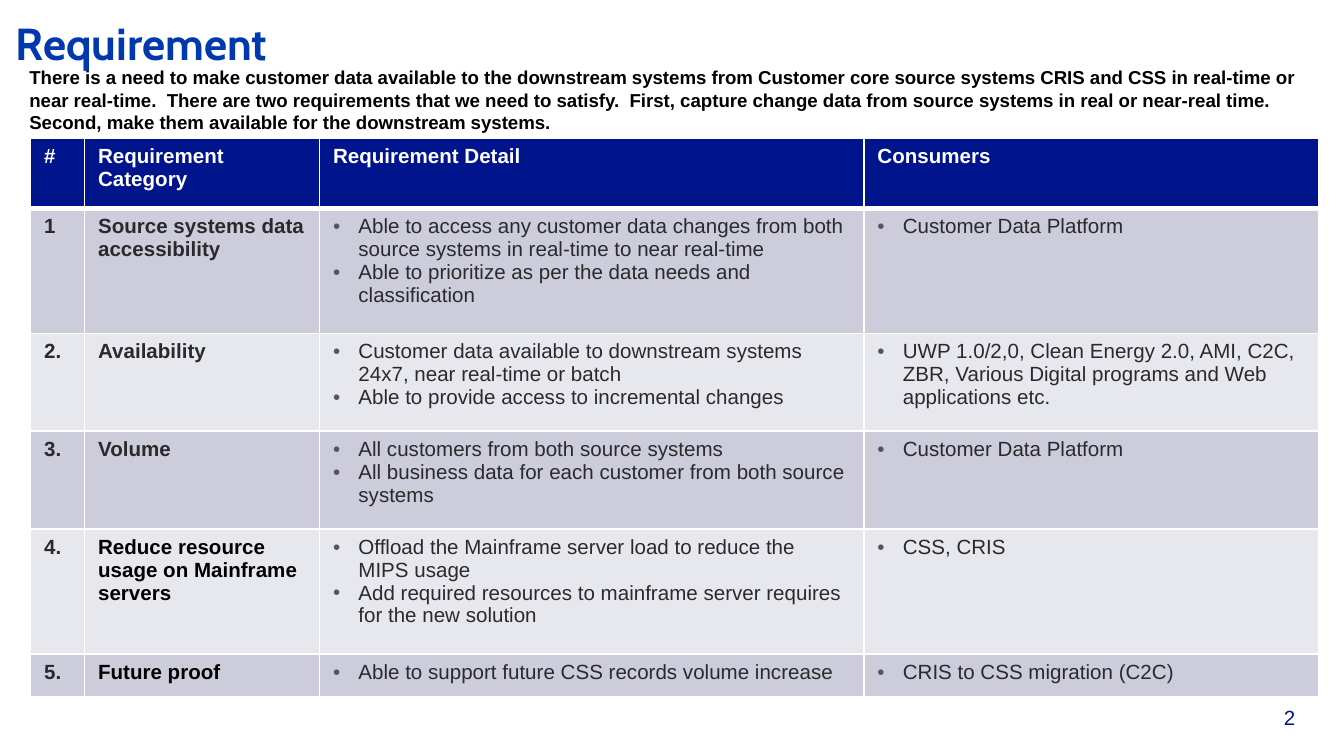
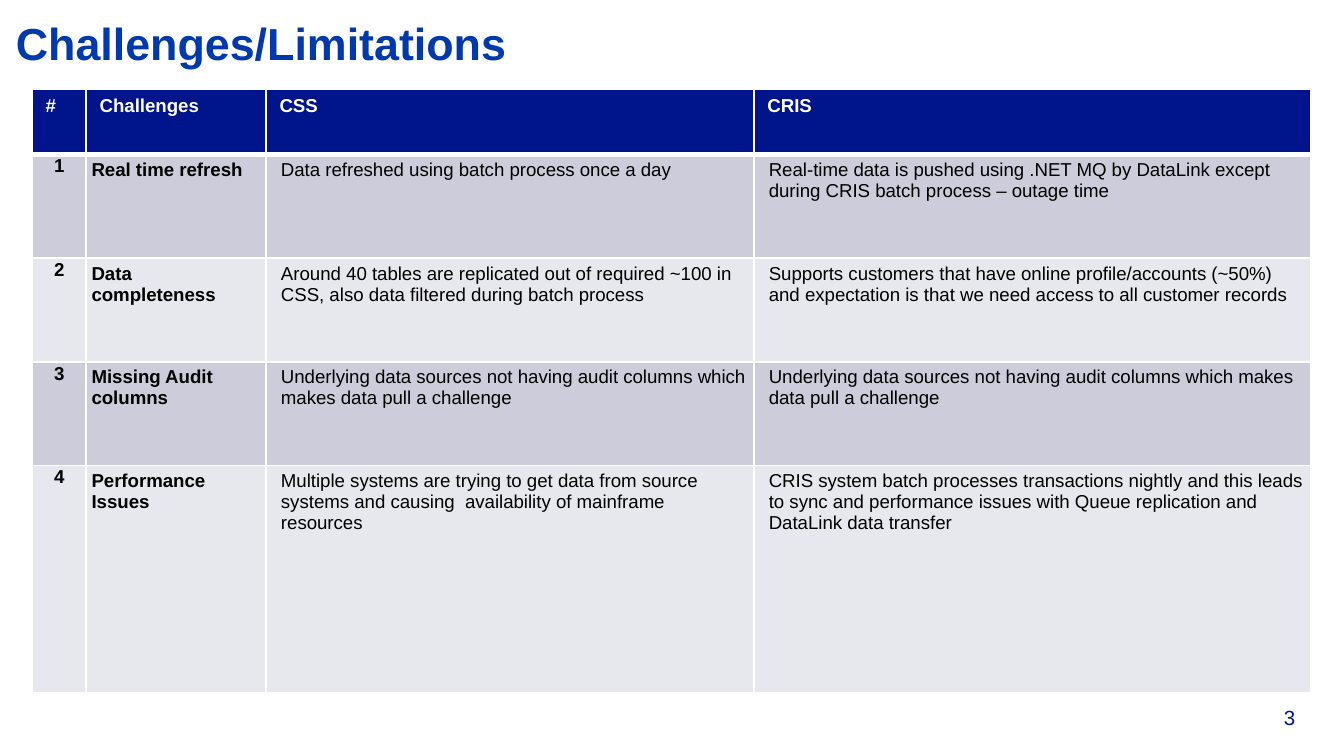
from dataclasses import dataclass
from itertools import product

from lxml import etree
from pptx import Presentation
from pptx.dml.color import RGBColor
from pptx.enum.text import MSO_ANCHOR, MSO_AUTO_SIZE, PP_ALIGN
from pptx.oxml.ns import qn
from pptx.util import Cm, Pt

LEFT, CENTER, RIGHT = PP_ALIGN.LEFT, PP_ALIGN.CENTER, PP_ALIGN.RIGHT
TOP, BOTTOM = MSO_ANCHOR.TOP, MSO_ANCHOR.BOTTOM
FIXED = MSO_AUTO_SIZE.NONE
BODY_PAGE, TITLE_PAGE = 1, 5  # layouts of the default template


@dataclass(frozen=True)
class Theme:
    font: str = "Arial"
    navy: str = "00148C"
    blue: str = "0038AE"
    black: str = "000000"
    ink: str = "2A2A2D"
    dot: str = "55555A"
    white: str = "FFFFFF"
    bands: tuple = ("CCCCDA", "E7E7EE")
    head: int = 24
    large: int = 11
    small: int = 10
    after: int = 6


THEME = Theme()


def write(frame, text, *, size, color, font=THEME.font, bold=False,
          align=LEFT, after=0, indent=None, hang=0, level=0, bullet=None):
    """Fill a text frame with one paragraph for each string in text."""
    frame.word_wrap = True
    lines = [text] if isinstance(text, str) else text
    for i, line in enumerate(lines):
        para = frame.paragraphs[0] if i == 0 else frame.add_paragraph()
        props = para._p.get_or_add_pPr()
        if indent is not None:
            props.set("marL", str(Cm(indent)))
            props.set("indent", str(Cm(-hang)))
        if bullet:
            tint = etree.SubElement(props, qn("a:buClr"))
            etree.SubElement(tint, qn("a:srgbClr"), val=bullet)
            etree.SubElement(props, qn("a:buFont"), typeface=font)
            etree.SubElement(props, qn("a:buChar"), char="•")
        else:
            etree.SubElement(props, qn("a:buNone"))
        para.alignment, para.level = align, level
        para.space_before, para.space_after = Pt(0), Pt(after)
        run = para.add_run()
        run.text = line
        run.font.name, run.font.size, run.font.bold = font, Pt(size), bold
        run.font.color.rgb = RGBColor.from_string(color)


def pad(frame, left, top):
    frame.margin_left = frame.margin_right = Cm(left)
    frame.margin_top = frame.margin_bottom = Cm(top)


def edge(cell, color, **widths):
    """Draw cell borders; widths are points for L, R, T and B."""
    props = cell._tc.get_or_add_tcPr()
    for i, side in enumerate("LRTB"):
        line = etree.Element(qn(f"a:ln{side}"), w=str(Pt(widths.get(side, 1))))
        fill = etree.SubElement(line, qn("a:solidFill"))
        etree.SubElement(fill, qn("a:srgbClr"), val=color)
        props.insert(i, line)


class Deck:
    def __init__(self, theme):
        self.theme = theme
        self.file = Presentation()
        self.file.slide_width, self.file.slide_height = Cm(25.4), Cm(14.29)
        self.slide = None

    def page(self, layout, title, font=None):
        """Start a slide with its title and page number."""
        look = self.theme
        self.slide = self.file.slides.add_slide(self.file.slide_layouts[layout])
        frame = self.place(self.slide.shapes.title, (0.3, 0.3, 25.07, 1.04))
        pad(frame, 0, 0)
        write(frame, title, size=look.head, color=look.blue, bold=True,
              font=font or look.font)
        self.number(len(self.file.slides) + 1)

    def place(self, shape, box):
        shape.left, shape.top, shape.width, shape.height = map(Cm, box)
        frame = shape.text_frame
        frame.auto_size, frame.vertical_anchor = FIXED, TOP
        return frame

    def number(self, count):
        box = self.slide.shapes.add_textbox(*map(Cm, (23.01, 13.31, 1.47, 0.48)))
        frame = box.text_frame
        frame.vertical_anchor = BOTTOM
        pad(frame, 0, 0)
        write(frame, str(count), size=self.theme.large, color=self.theme.navy,
              align=RIGHT)

    def intro(self, text, box):
        frame = self.place(self.slide.placeholders[1], box)
        write(frame, text, size=self.theme.small, color=self.theme.black,
              bold=True, after=self.theme.after, indent=0)

    def table(self, spot, cols, rows, data, size, style):
        """Add a banded table; style(row, col) gives padding and text format."""
        look = self.theme
        shape = self.slide.shapes.add_table(
            len(rows), len(cols), *map(Cm, (*spot, sum(cols), sum(rows))))
        grid = shape.table
        for part, wide in zip(grid.columns, cols):
            part.width = Cm(wide)
        for part, high in zip(grid.rows, rows):
            part.height = Cm(high)
        for r, c in product(range(len(rows)), range(len(cols))):
            cell = grid.cell(r, c)
            fill = look.navy if r == 0 else look.bands[(r - 1) % 2]
            cell.fill.solid()
            cell.fill.fore_color.rgb = RGBColor.from_string(fill)
            edge(cell, look.white, T=3 if r == 1 else 1, B=3 if r == 0 else 1)
            if r == 0:
                form = dict(color=look.white, bold=True, after=look.after)
            else:
                inset, form = style(r, c)
                if inset is not None:
                    pad(cell, inset, inset)
            write(cell.text_frame, data[r][c], size=size, **form)


def need(row, col):
    """Format of the requirement table."""
    if col > 1:
        return None, dict(color=THEME.ink, indent=0.48, hang=0.48,
                          bullet=THEME.dot)
    dark = col == 1 and row > 3
    return None, dict(color=THEME.black if dark else THEME.ink, bold=True,
                      after=THEME.after)


def limit(row, col):
    """Format of the challenge table."""
    if col > 1:
        return 0.1, dict(color=THEME.black, indent=0.18, level=1)
    form = dict(color=THEME.black, bold=True, after=THEME.after)
    return (0.03, dict(form, align=CENTER)) if col == 0 else (0.1, form)


NEEDS = [
    ("#", "Requirement Category", "Requirement Detail", "Consumers"),
    ("1", "Source systems data accessibility",
     ["Able to access any customer data changes from both source systems in real-time to near real-time",
      "Able to prioritize as per the data needs and classification"],
     "Customer Data Platform"),
    ("2.", "Availability",
     ["Customer data available to downstream systems 24x7, near real-time or batch",
      "Able to provide access to incremental changes"],
     "UWP 1.0/2,0, Clean Energy 2.0, AMI, C2C, ZBR, Various Digital programs and Web applications etc."),
    ("3.", "Volume",
     ["All customers from both source systems",
      "All business data for each customer from both source systems"],
     "Customer Data Platform"),
    ("4.", "Reduce resource usage on Mainframe servers",
     ["Offload the Mainframe server load to reduce the MIPS usage",
      "Add required resources to mainframe server requires for the new solution"],
     "CSS, CRIS"),
    ("5.", "Future proof", "Able to support future CSS records volume increase",
     "CRIS to CSS migration (C2C)"),
]

AUDIT = "Underlying data sources not having audit columns which makes data pull a challenge"
LIMITS = [
    ("#", "Challenges", "CSS", "CRIS"),
    ("1", "Real time refresh", "Data refreshed using batch process once a day",
     "Real-time data is pushed using .NET MQ by DataLink except during CRIS batch process – outage time"),
    ("2", "Data completeness",
     "Around 40 tables are replicated out of required ~100 in CSS, also data filtered during batch process",
     "Supports customers that have online profile/accounts (~50%) and expectation is that we need access to all customer records"),
    ("3", "Missing Audit columns", AUDIT, AUDIT),
    ("4", "Performance Issues",
     "Multiple systems are trying to get data from source systems and causing  availability of mainframe resources",
     "CRIS system batch processes transactions nightly and this leads to sync and performance issues with Queue replication and DataLink data transfer"),
]


def main():
    deck = Deck(THEME)

    # Requirements
    deck.page(BODY_PAGE, "Requirement", font="Cabin")
    deck.intro(
        "There is a need to make customer data available to the downstream systems "
        "from Customer core source systems CRIS and CSS in real-time or near real-time.  "
        "There are two requirements that we need to satisfy.  First, capture change data "
        "from source systems in real or near-real time.  Second, make them available "
        "for the downstream systems.", (0.3, 1.12, 24.79, 1.55))
    deck.table((0.58, 2.62), (1.02, 4.44, 10.29, 8.59),
               (1.32, 2.36, 1.85, 1.85, 2.36, 0.81), NEEDS, THEME.large, need)

    # Challenges
    deck.page(TITLE_PAGE, "Challenges/Limitations")
    deck.table((0.61, 1.68), (1.02, 3.4, 9.22, 10.52),
               (1.24, 1.96, 1.96, 1.96, 4.29), LIMITS, THEME.small, limit)

    deck.file.save("out.pptx")


if __name__ == "__main__":
    main()
